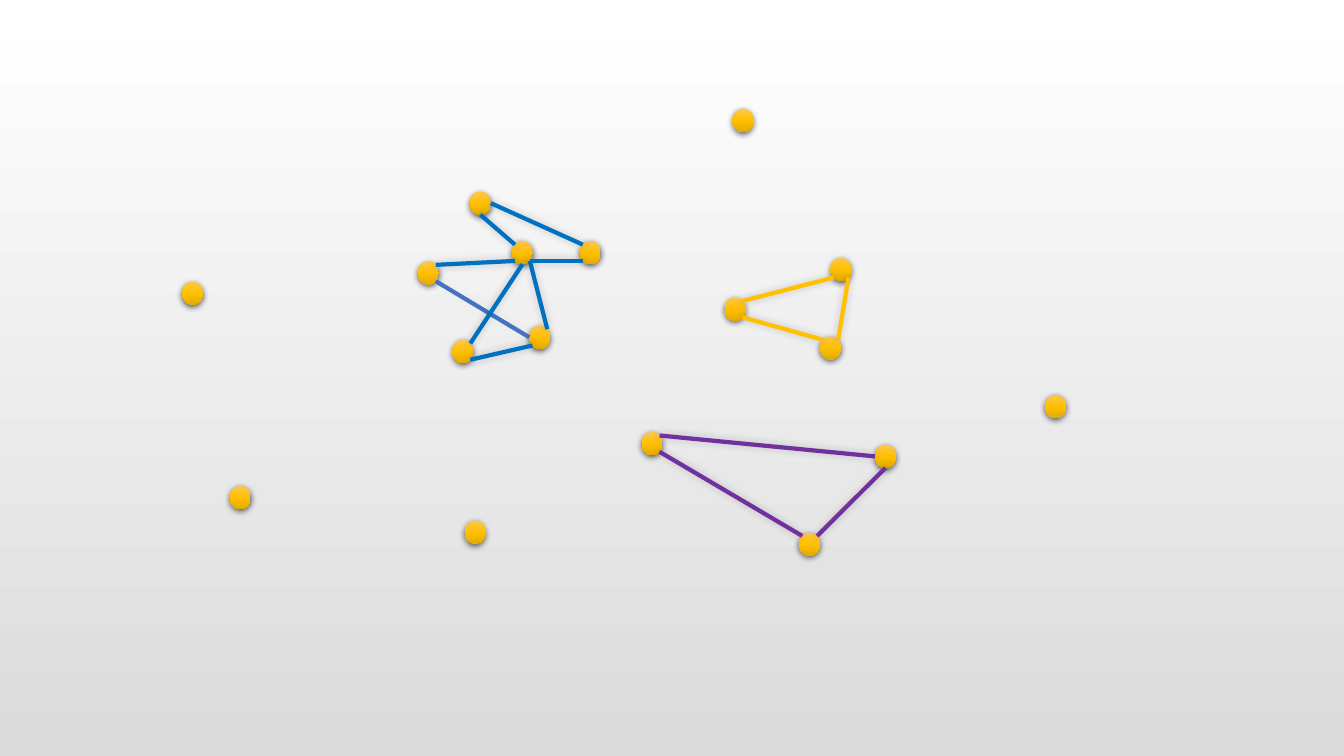
from copy import deepcopy

from lxml import etree
from pptx import Presentation
from pptx.dml.color import RGBColor
from pptx.enum.shapes import MSO_CONNECTOR, MSO_SHAPE
from pptx.oxml.ns import qn
from pptx.util import Cm, Pt

OVAL = MSO_SHAPE.OVAL
STRAIGHT = MSO_CONNECTOR.STRAIGHT

BLUE, ROYAL, GOLD, PURPLE = "0070C0", "4472C4", "FFC000", "7030A0"
PAGE_STOPS = [(0, "FFFFFF"), (1, "DBDBDB")]
NODE_STOPS = [(0, "FFC64B"), (0.5, GOLD), (1, "E3AB00")]
DOWNWARD = 270

NODE_WIDTH, NODE_HEIGHT = 0.53, 0.58
DIAGONAL = 0.5 ** 0.5
SITES = {
    "left": (-1, 0),
    "right": (1, 0),
    "bottom": (0, 1),
    "top left": (-DIAGONAL, -DIAGONAL),
    "top right": (DIAGONAL, -DIAGONAL),
    "bottom left": (-DIAGONAL, DIAGONAL),
    "bottom right": (DIAGONAL, DIAGONAL),
}

NODES = {
    "blue hub": (12.90, 6.08),
    "blue west": (10.53, 6.59),
    "blue south": (11.40, 8.57),
    "blue southeast": (13.34, 8.21),
    "blue north": (11.84, 4.83),
    "blue east": (14.61, 6.08),
    "gold south": (20.67, 8.48),
    "gold north": (20.93, 6.50),
    "gold west": (18.26, 7.50),
    "purple south": (20.14, 13.42),
    "purple west": (16.17, 10.89),
    "purple east": (22.05, 11.21),
    "single north": (18.46, 2.75),
    "single south": (11.71, 13.12),
    "single southwest": (5.79, 12.25),
    "single west": (4.59, 7.10),
    "single east": (26.34, 9.96),
}

EDGES = [
    ("blue hub", "bottom left", "blue west", "top right", BLUE),
    ("blue west", "bottom right", "blue southeast", "left", ROYAL),
    ("blue hub", "bottom right", "blue southeast", "top right", BLUE),
    ("blue hub", "bottom", "blue south", "top right", BLUE),
    ("blue south", "bottom right", "blue southeast", "bottom left", BLUE),
    ("blue north", "bottom", "blue hub", "top left", BLUE),
    ("blue east", "bottom left", "blue hub", "bottom right", BLUE),
    ("blue north", "right", "blue east", "top left", BLUE),
    ("gold north", "bottom left", "gold west", "top right", GOLD),
    ("gold north", "bottom right", "gold south", "top right", GOLD),
    ("gold south", "top left", "gold west", "bottom right", GOLD),
    ("purple west", "bottom right", "purple south", "top left", PURPLE),
    ("purple west", "top right", "purple east", "left", PURPLE),
    ("purple east", "bottom", "purple south", "top right", PURPLE),
]


def color(code):
    return RGBColor.from_string(code)


def paint_gradient(fill, element, stops):
    fill.gradient()
    fill.gradient_angle = DOWNWARD
    stop_list = next(element.iter(qn("a:gsLst")))
    while len(stop_list) < len(stops):
        stop_list.append(deepcopy(stop_list[0]))
    for stop, (position, code) in zip(fill.gradient_stops, stops):
        stop.position = position
        stop.color.rgb = color(code)


def add_shadow(item, code, opacity, blur, distance, angle):
    effects = etree.SubElement(item._element.spPr, qn("a:effectLst"))
    shadow = etree.SubElement(
        effects, qn("a:outerShdw"), blurRad=str(Pt(blur)),
        dist=str(Pt(distance)), dir=str(angle * 60000), rotWithShape="0")
    tint = etree.SubElement(shadow, qn("a:srgbClr"), val=code)
    etree.SubElement(tint, qn("a:alpha"), val=str(opacity * 1000))


def add_node(page, left, top):
    node = page.shapes.add_shape(
        OVAL, Cm(left), Cm(top), Cm(NODE_WIDTH), Cm(NODE_HEIGHT))
    paint_gradient(node.fill, node._element, NODE_STOPS)
    node.line.fill.background()
    add_shadow(node, "000000", 63, blur=4.5, distance=1.5, angle=90)


def site_point(name, site):
    left, top = NODES[name]
    across, down = SITES[site]
    return (Cm(left + NODE_WIDTH / 2 * (1 + across)),
            Cm(top + NODE_HEIGHT / 2 * (1 + down)))


def add_edge(page, start, start_site, end, end_site, code):
    edge = page.shapes.add_connector(
        STRAIGHT, *site_point(start, start_site), *site_point(end, end_site))
    edge.line.color.rgb = color(code)
    edge.line.width = Pt(3)
    tint, opacity = ("AFABAB", 11) if code == ROYAL else ("000000", 20)
    add_shadow(edge, tint, opacity, blur=6, distance=0, angle=225)


def main():
    deck = Presentation()
    deck.slide_width, deck.slide_height = Cm(33.87), Cm(19.05)
    page = deck.slides.add_slide(deck.slide_layouts[6])
    paint_gradient(page.background.fill, page._element, PAGE_STOPS)
    for left, top in NODES.values():
        add_node(page, left, top)
    for edge in EDGES:
        add_edge(page, *edge)
    deck.save("out.pptx")


main()
